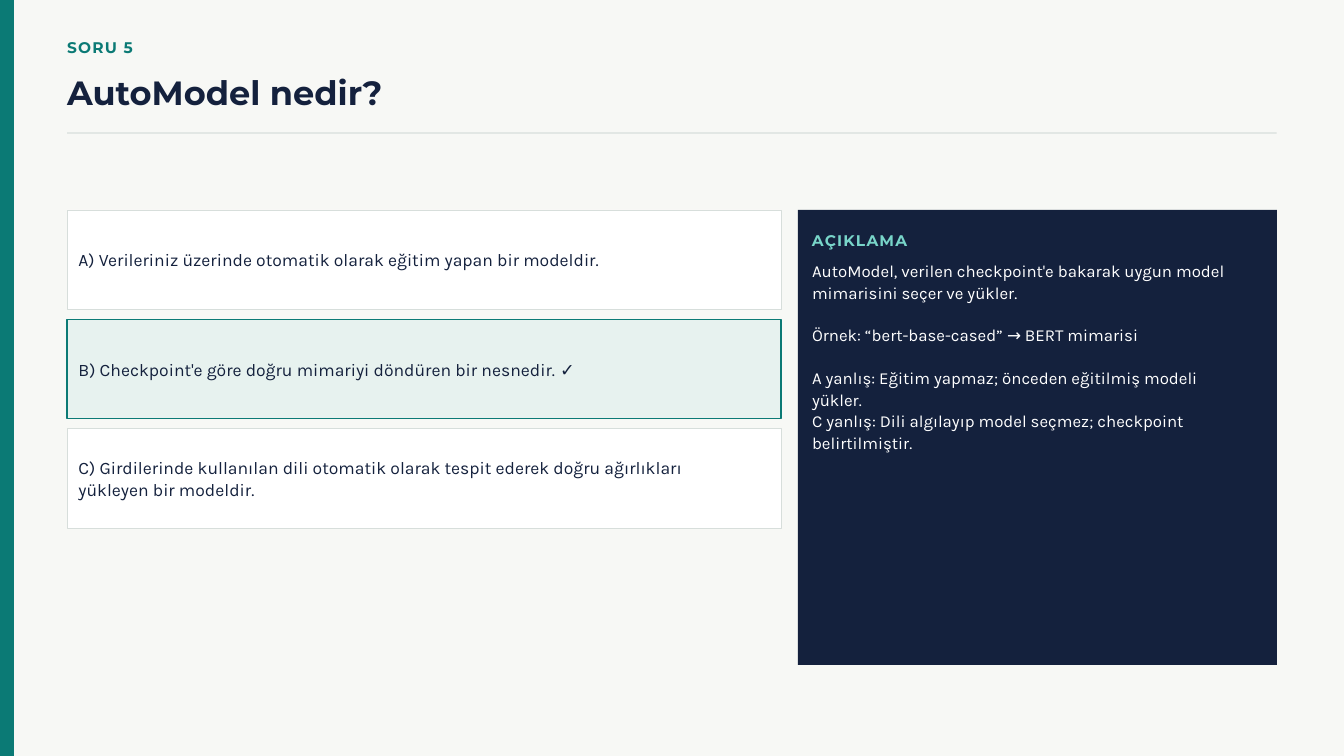
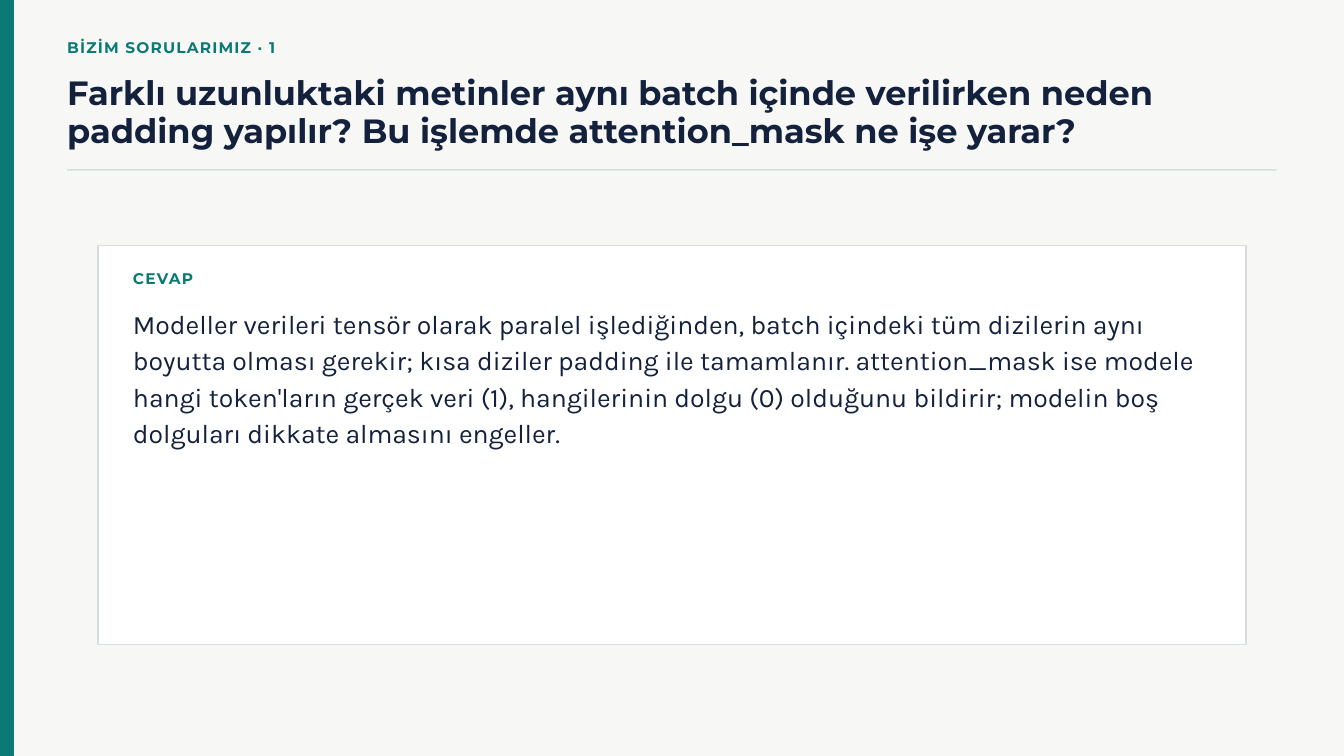
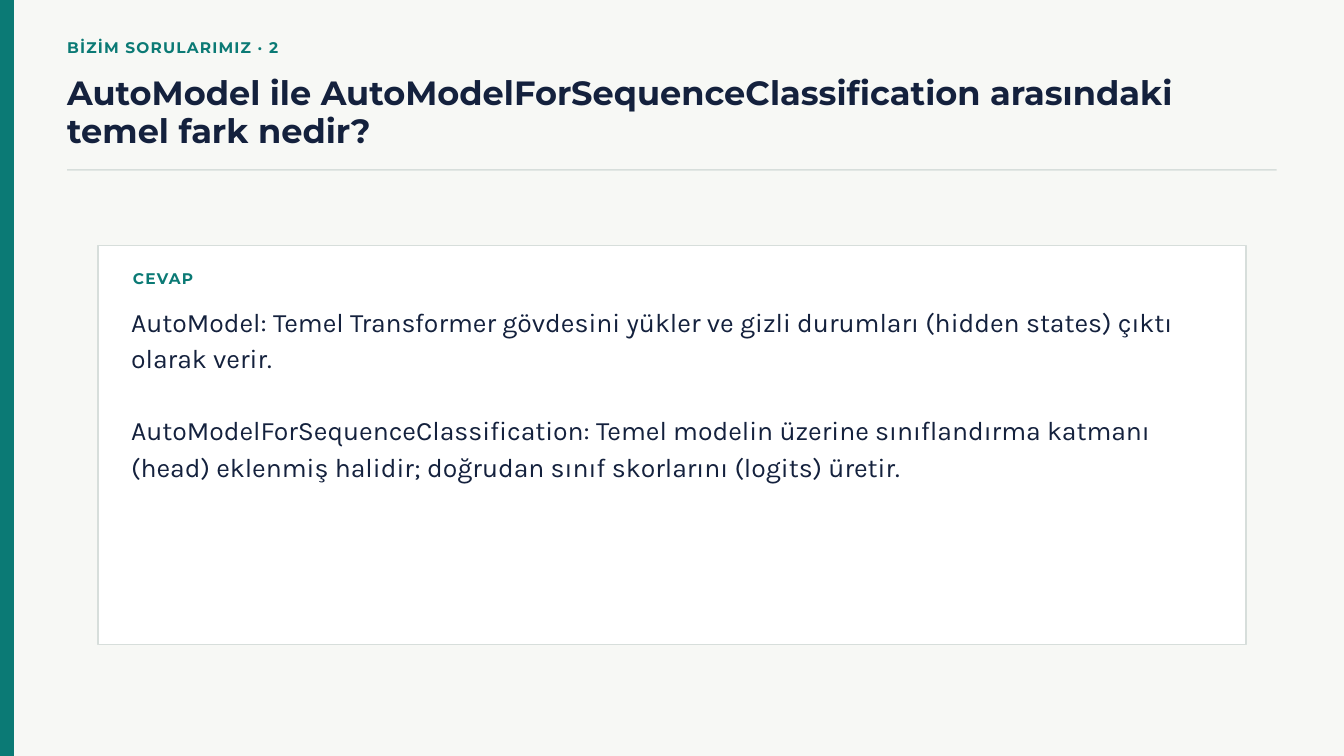
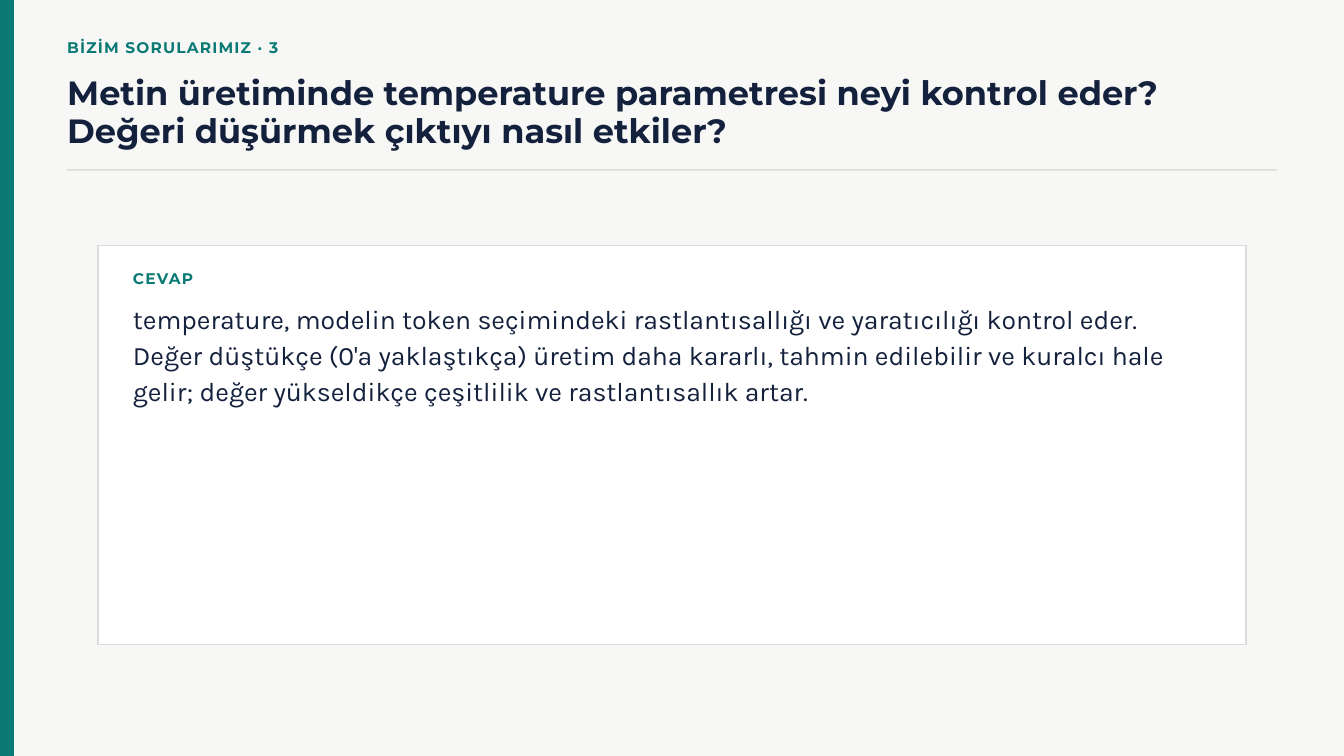
from lxml.etree import SubElement
from pptx import Presentation
from pptx.dml.color import RGBColor
from pptx.enum.shapes import MSO_SHAPE
from pptx.enum.text import MSO_ANCHOR, MSO_AUTO_SIZE, PP_ALIGN
from pptx.oxml.ns import qn
from pptx.util import Pt

QUIZ = {
    "kicker": "SORU 5",
    "title": "AutoModel nedir?",
    "options": [
        "A) Verileriniz üzerinde otomatik olarak eğitim yapan bir modeldir.",
        "B) Checkpoint'e göre doğru mimariyi döndüren bir nesnedir. ✓",
        "C) Girdilerinde kullanılan dili otomatik olarak tespit ederek doğru "
        "ağırlıkları yükleyen bir modeldir.",
    ],
    "correct": 1,
    "label": "AÇIKLAMA",
    # (text, starts a new block)
    "explanation": [
        ("AutoModel, verilen checkpoint'e bakarak uygun model mimarisini seçer ve yükler.", False),
        ("Örnek: “bert-base-cased” → BERT mimarisi", True),
        ("A yanlış: Eğitim yapmaz; önceden eğitilmiş modeli yükler.", True),
        ("C yanlış: Dili algılayıp model seçmez; checkpoint belirtilmiştir.", False),
    ],
}
ANSWER_LABEL = "CEVAP"
ANSWERS = [
    {
        "kicker": "BİZİM SORULARIMIZ · 1",
        "title": "Farklı uzunluktaki metinler aynı batch içinde verilirken neden padding "
                 "yapılır? Bu işlemde attention_mask ne işe yarar?",
        "at": (142.5, 325.5),
        "answer": [
            ("Modeller verileri tensör olarak paralel işlediğinden, batch içindeki tüm "
             "dizilerin aynı boyutta olması gerekir; kısa diziler padding ile tamamlanır. "
             "attention_mask ise modele hangi token'ların gerçek veri (1), hangilerinin "
             "dolgu (0) olduğunu bildirir; modelin boş dolguları dikkate almasını engeller.", False),
        ],
    },
    {
        "kicker": "BİZİM SORULARIMIZ · 2",
        "title": "AutoModel ile AutoModelForSequenceClassification arasındaki temel fark nedir?",
        "at": (140.5, 323),
        "answer": [
            ("AutoModel: Temel Transformer gövdesini yükler ve gizli durumları "
             "(hidden states) çıktı olarak verir.", False),
            ("AutoModelForSequenceClassification: Temel modelin üzerine sınıflandırma "
             "katmanı (head) eklenmiş halidir; doğrudan sınıf skorlarını (logits) üretir.", True),
        ],
    },
    {
        "kicker": "BİZİM SORULARIMIZ · 3",
        "title": "Metin üretiminde temperature parametresi neyi kontrol eder? "
                 "Değeri düşürmek çıktıyı nasıl etkiler?",
        "at": (142.5, 319.5),
        "answer": [
            ("temperature, modelin token seçimindeki rastlantısallığı ve yaratıcılığı "
             "kontrol eder. Değer düştükçe (0'a yaklaştıkça) üretim daha kararlı, tahmin "
             "edilebilir ve kuralcı hale gelir; değer yükseldikçe çeşitlilik ve "
             "rastlantısallık artar.", False),
        ],
    },
]

PAPER = RGBColor(0xF7, 0xF8, 0xF5)
TEAL = RGBColor(0x0B, 0x7A, 0x75)
NAVY = RGBColor(0x14, 0x21, 0x3D)
GREY = RGBColor(0xD7, 0xDE, 0xDB)
MINT = RGBColor(0xE7, 0xF2, 0xEF)
AQUA = RGBColor(0x78, 0xD5, 0xC9)
WHITE = RGBColor(0xFF, 0xFF, 0xFF)
HEAD_FONT, BODY_FONT = "Montserrat", "Karla"

SLIDE_W, SLIDE_H = 1440, 810
MARGIN = 72
CONTENT_W = SLIDE_W - 2 * MARGIN
TITLE_TOP, TITLE_LINE, RULE_GAP = 80, 39.5, 22.25
OPTIONS_TOP, OPTION_W, OPTION_H, OPTION_GAP = 225, 765, 106.25, 11
PANEL = (855, OPTIONS_TOP, 513, 487.5)
CARD = (105, 263, 1230, 427.5)


def add_box(slide, box, fill, line=None, line_width=0.75):
    sp = slide.shapes.add_shape(MSO_SHAPE.RECTANGLE, *map(Pt, box))
    sp.shadow.inherit = False
    sp.fill.solid()
    sp.fill.fore_color.rgb = fill
    if line is None:
        sp.line.fill.background()
    else:
        sp.line.color.rgb = line
        sp.line.width = Pt(line_width)
    return sp


def write(sp, paragraphs, font, size, color, leading, bold=False, tracking=None,
          insets=(0, 0), anchor=MSO_ANCHOR.TOP):
    """Fill a shape with (text, starts a new block) paragraphs; a new block skips one line."""
    tf = sp.text_frame
    tf.word_wrap = True
    tf.auto_size = MSO_AUTO_SIZE.NONE
    tf.vertical_anchor = anchor
    tf.margin_left, tf.margin_right = map(Pt, insets)
    tf.margin_top = tf.margin_bottom = 0
    for i, (text, new_block) in enumerate(paragraphs):
        p = tf.add_paragraph() if i else tf.paragraphs[0]
        pPr = p._p.get_or_add_pPr()
        pPr.set("marL", "0")
        pPr.set("indent", "0")
        SubElement(pPr, qn("a:buNone"))
        p.alignment = PP_ALIGN.LEFT
        p.line_spacing = Pt(leading)
        p.space_before = Pt(leading if new_block else 0)
        r = p.add_run()
        r.text = text
        r.font.name, r.font.size, r.font.bold = font, Pt(size), bold
        r.font.color.rgb = color
        if tracking:
            r.font._element.set("spc", str(round(tracking * 100)))


def place(sp, box):
    """Move a placeholder and bring it to the front."""
    sp.left, sp.top, sp.width, sp.height = map(Pt, box)
    sp.element.getparent().append(sp.element)
    return sp


def add_label(slide, text, box, color=TEAL):
    sp = slide.shapes.add_textbox(*map(Pt, box))
    write(sp, [(text, False)], HEAD_FONT, 16.5, color, 23.1, bold=True, tracking=1.3)


def add_slide(prs, content, title_lines):
    slide = prs.slides.add_slide(prs.slide_layouts[1])
    add_box(slide, (0, 0, 15, SLIDE_H), TEAL)
    add_label(slide, content["kicker"], (MARGIN, 37.5, 450, 22))
    title_h = title_lines * TITLE_LINE
    title = place(slide.shapes.title, (MARGIN, TITLE_TOP, CONTENT_W, title_h))
    write(title, [(content["title"], False)], HEAD_FONT, 36, NAVY, 40.3, bold=True)
    add_box(slide, (MARGIN, TITLE_TOP + title_h + RULE_GAP, CONTENT_W, 1.5), GREY)
    return slide


def add_quiz_slide(prs, quiz):
    slide = add_slide(prs, quiz, title_lines=1)
    for i, option in enumerate(quiz["options"]):
        top = OPTIONS_TOP + i * (OPTION_H + OPTION_GAP)
        style = (MINT, TEAL, 1.5) if i == quiz["correct"] else (WHITE, GREY, 0.75)
        sp = add_box(slide, (MARGIN, top, OPTION_W, OPTION_H), *style)
        write(sp, [(option, False)], BODY_FONT, 18.8, NAVY, 22.9,
              insets=(12, 66), anchor=MSO_ANCHOR.MIDDLE)
    add_box(slide, PANEL, NAVY)
    add_label(slide, quiz["label"], (870, 244, 465, 22), AQUA)
    body = place(slide.placeholders[1], (870, 278, 465, 157))
    write(body, quiz["explanation"], BODY_FONT, 18, WHITE, 23)


def add_answer_slide(prs, item):
    slide = add_slide(prs, item, title_lines=2)
    add_box(slide, CARD, WHITE, GREY, 1.5)
    add_label(slide, ANSWER_LABEL, (142.5, 284.5, 195, 22))
    body = place(slide.placeholders[1], (*item["at"], 1155, 190))
    write(body, item["answer"], BODY_FONT, 28.5, NAVY, 38.8)


def main():
    prs = Presentation()
    prs.slide_width, prs.slide_height = Pt(SLIDE_W), Pt(SLIDE_H)
    background = prs.slide_master.background.fill
    background.solid()
    background.fore_color.rgb = PAPER
    add_quiz_slide(prs, QUIZ)
    for item in ANSWERS:
        add_answer_slide(prs, item)
    prs.save("out.pptx")


if __name__ == "__main__":
    main()
